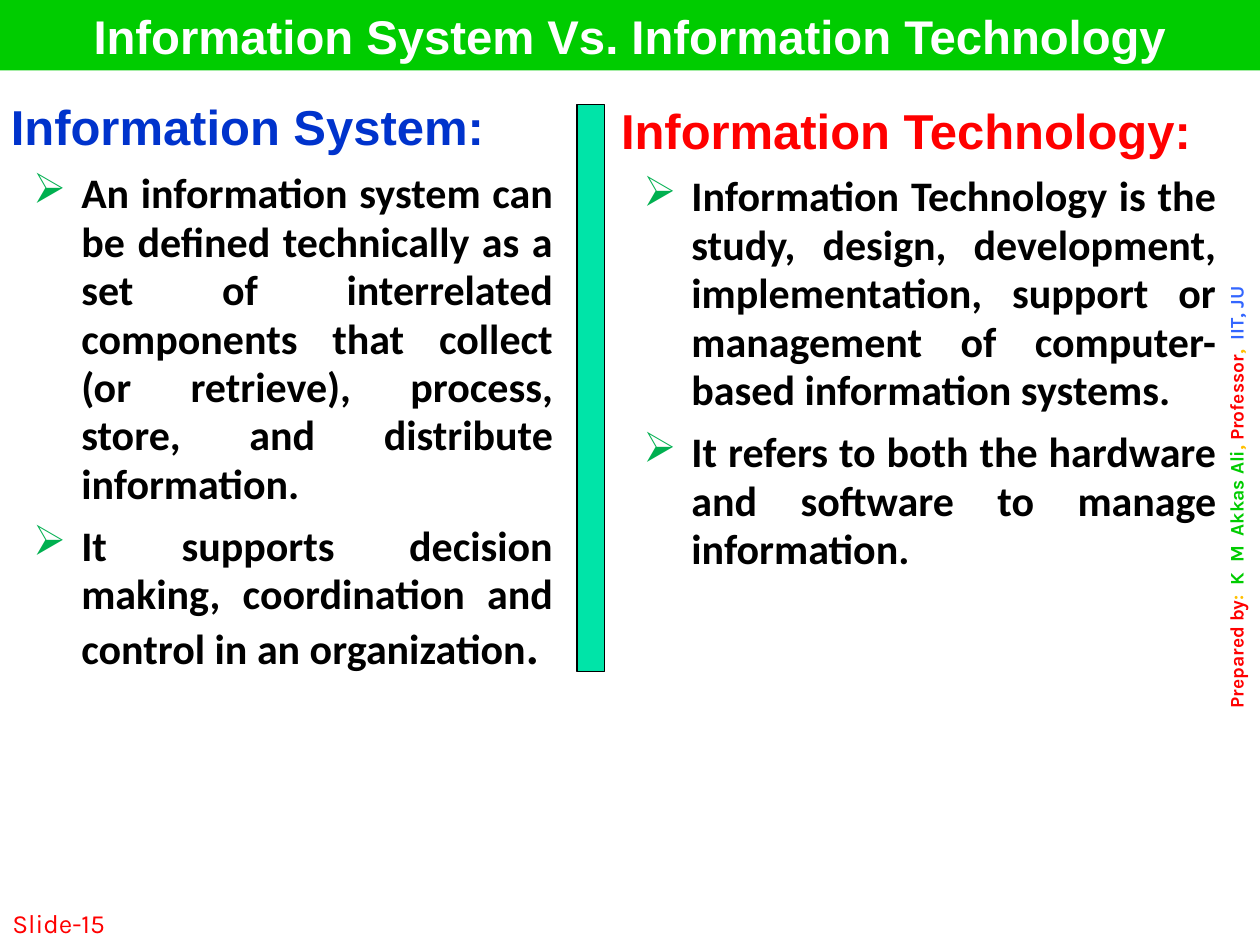
from lxml.etree import SubElement
from pptx import Presentation
from pptx.dml.color import RGBColor as RGB
from pptx.enum.shapes import MSO_SHAPE as Shape
from pptx.enum.text import MSO_ANCHOR as Anchor, PP_ALIGN as Align
from pptx.oxml.ns import qn
from pptx.util import Cm, Pt

# Content
TITLE = "Information System Vs. Information Technology"
SLIDE_NO = "Slide-15"
CREDIT = [  # text, colour, outlined
    ("Prepared by", "red", False),
    (":  ", "gold", False),
    ("K  M  Akkas Ali", "green", True),
    (", ", "gold", False),
    ("Professor", "red", False),
    (",  ", "gold", False),
    ("IIT, JU", "sky", False),
]
COLUMNS = [  # each bullet is a list of (text, size) runs
    dict(
        heading="Information System:", color="blue", spacing=0.95,
        box=(-0.03, 1.9, 11.43, 11.63),
        bullets=[
            [("An information system can be defined technically as a set of "
              "interrelated components that collect (or retrieve), process, "
              "store, and distribute information.", "body")],
            [("It supports decision making, coordination and control in an "
              "organization", "body"), (". ", "heading")],
        ],
    ),
    dict(
        heading="Information Technology:", color="red", spacing=1.0,
        box=(12.27, 1.9, 12.5, 9.9),
        bullets=[
            [("Information Technology is the study, design, development, "
              "implementation, support or management of computer-based "
              "information systems.", "body")],
            [("It refers to both the hardware and software to manage "
              "information.", "body")],
        ],
    ),
]

THEME = dict(
    colors=dict(red="FF0000", gold="FFC000", green="00CC00", sky="3366FF",
                blue="0033CC", white="FFFFFF", black="000000",
                bullet="00B050", divider="00E4A8"),
    sizes=dict(title=27, heading=28, body=24, number=15, credit=11),
    fonts=dict(title="Arial", heading="Arial", body="Calibri", label="Karla"),
)
WIDTH, HEIGHT = 25.4, 19.05


def color(name):
    return RGB.from_string(THEME["colors"][name])


def style(r, size, font, tint, bold=True):
    r.font.size = Pt(THEME["sizes"][size])
    r.font.name = THEME["fonts"][font]
    r.font.bold = bold
    r.font.color.rgb = color(tint)


def add_rect(slide, box, fill, line=None):
    sp = slide.shapes.add_shape(Shape.RECTANGLE, *map(Cm, box))
    sp.shadow.inherit = False
    sp.fill.solid()
    sp.fill.fore_color.rgb = color(fill)
    if line:
        sp.line.color.rgb = color(line)
        sp.line.width = Pt(0.75)
    else:
        sp.line.fill.background()
    return sp


def add_text(slide, box, anchor=Anchor.TOP):
    tf = slide.shapes.add_textbox(*map(Cm, box)).text_frame
    tf.word_wrap = True
    tf.vertical_anchor = anchor
    return tf


def format_paragraph(p, spacing, left=0, hang=0, bullet=None):
    p.level = 1
    p.alignment = Align.JUSTIFY
    p.line_spacing = spacing
    p.space_before = p.space_after = Pt(4)
    pPr = p._p.get_or_add_pPr()
    pPr.set("marL", str(Cm(left)))
    pPr.set("indent", str(Cm(hang)))
    if bullet:
        clr = SubElement(pPr, qn("a:buClr"))
        SubElement(clr, qn("a:srgbClr"), val=THEME["colors"]["bullet"])
        SubElement(pPr, qn("a:buChar"), char=bullet)


def outline(r, tint):
    rPr = r._r.get_or_add_rPr()
    ln = SubElement(rPr, qn("a:ln"), w=str(Pt(0.75)))
    fill = SubElement(ln, qn("a:solidFill"))
    SubElement(fill, qn("a:srgbClr"), val=THEME["colors"][tint])
    rPr.insert(0, ln)


def add_column(slide, column):
    tf = add_text(slide, column["box"])
    p = tf.paragraphs[0]
    p.text = column["heading"]
    format_paragraph(p, column["spacing"])
    style(p.runs[0], "heading", "heading", column["color"])
    for bullet in column["bullets"]:
        p = tf.add_paragraph()
        format_paragraph(p, 0.96, left=1.42, hang=-0.97, bullet="➢")
        for text, size in bullet:
            r = p.add_run()
            r.text = text
            style(r, size, "body", "black")


def main():
    prs = Presentation()
    prs.slide_width, prs.slide_height = Cm(WIDTH), Cm(HEIGHT)
    slide = prs.slides.add_slide(prs.slide_layouts[6])

    # Vertical credit line
    tf = add_text(slide, (24.56, 1.24, 0.99, 17.58))
    tf._txBody.bodyPr.set("vert", "vert270")
    p = tf.paragraphs[0]
    p.alignment = Align.CENTER
    for text, tint, outlined in CREDIT:
        r = p.add_run()
        r.text = text
        style(r, "credit", "label", tint)
        if outlined:
            outline(r, tint)

    # Title band
    tf = add_rect(slide, (0, 0, WIDTH, 1.42), "green").text_frame
    tf.word_wrap = True
    tf.vertical_anchor = Anchor.MIDDLE
    p = tf.paragraphs[0]
    p.text = TITLE
    p.alignment = Align.CENTER
    style(p.runs[0], "title", "title", "white")

    # Slide number
    p = add_text(slide, (0, 17.78, 5.28, 1.27), Anchor.BOTTOM).paragraphs[0]
    p.text = SLIDE_NO
    style(p.runs[0], "number", "label", "red", bold=False)

    # Two columns and the divider between them
    for column in COLUMNS:
        add_column(slide, column)
    add_rect(slide, (11.63, 2.11, 0.56, 11.43), "divider", line="black")

    prs.save("out.pptx")


if __name__ == "__main__":
    main()
